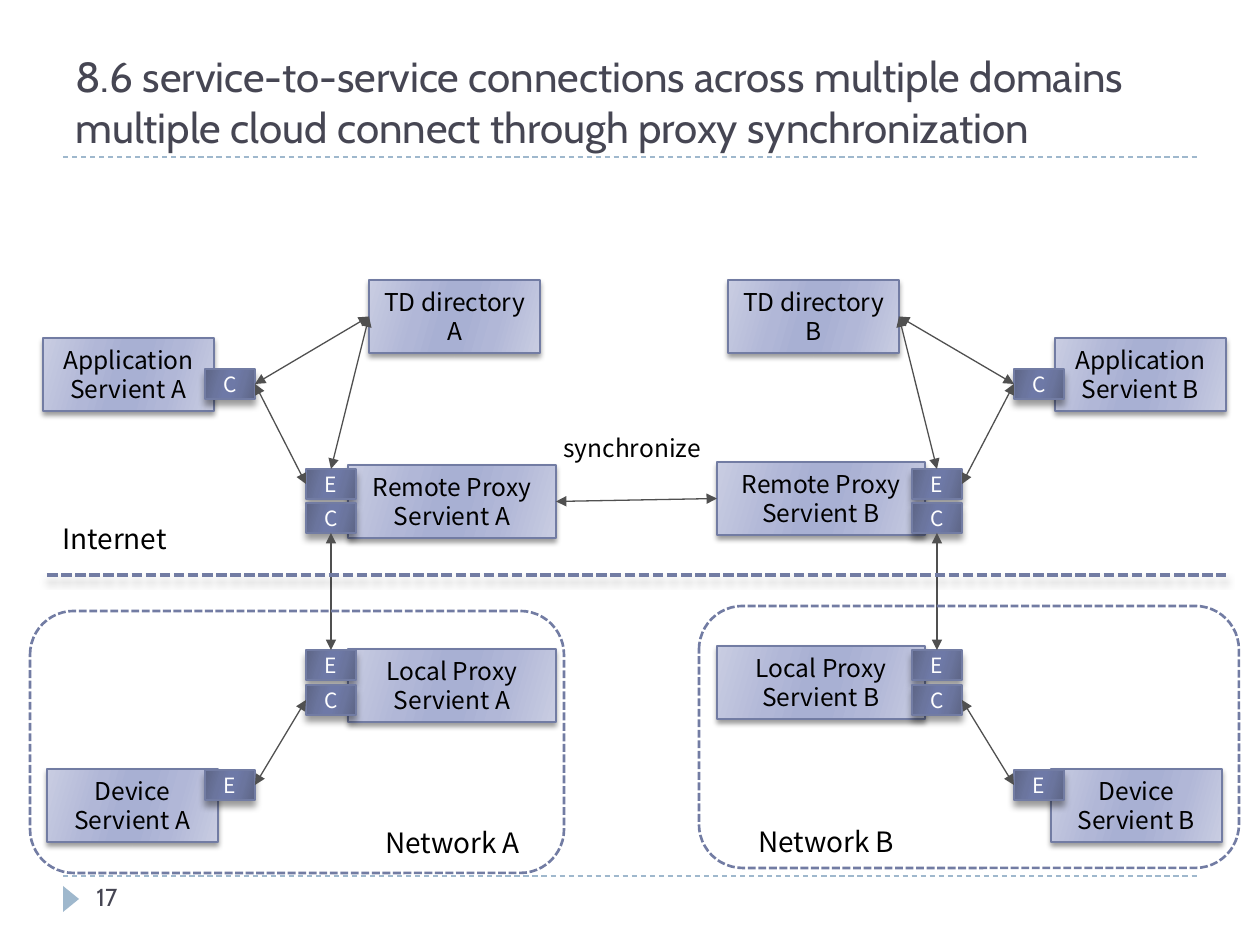
"""Build the slide on service connections across two domains."""
from lxml import etree
from pptx import Presentation
from pptx.dml.color import RGBColor
from pptx.enum.dml import MSO_LINE
from pptx.enum.shapes import MSO_CONNECTOR, MSO_SHAPE
from pptx.enum.text import MSO_ANCHOR, MSO_AUTO_SIZE, PP_ALIGN
from pptx.oxml.ns import qn
from pptx.util import Pt

RECT, ROUND, TRI = MSO_SHAPE.RECTANGLE, MSO_SHAPE.ROUNDED_RECTANGLE, MSO_SHAPE.ISOSCELES_TRIANGLE
STRAIGHT = MSO_CONNECTOR.STRAIGHT
DASH, DOTS = MSO_LINE.DASH, MSO_LINE.SQUARE_DOT
TOP, MIDDLE, LOW = MSO_ANCHOR.TOP, MSO_ANCHOR.MIDDLE, MSO_ANCHOR.BOTTOM
LEFT, CENTER = PP_ALIGN.LEFT, PP_ALIGN.CENTER
FIT = MSO_AUTO_SIZE.SHAPE_TO_FIT_TEXT
PX = 914400 / 126

THEME = {
    "edge": RGBColor.from_string("727CA3"),
    "rule": RGBColor.from_string("9FB8CD"),
    "link": RGBColor.from_string("505050"),
    "title": ("Cabin", 24, "464653"),
    "page": ("Cabin", 14, "464653"),
    "zone": ("Noto Sans CJK JP", 16, "000000"),
    "box": ("Noto Sans CJK JP", 14, "000000"),
    "tag": ("Noto Sans CJK JP", 12, "FFFFFF"),
    "box fill": ("C9CDE2", "B1B7D7", "A8B0D3"),
    "tag fill": ("5D6585", "6B759E", "6E79A7"),
    "box shade": (3, 2),
    "tag shade": (4, 3.4),
}


def shade(shape, size=None):
    effects = etree.SubElement(shape.element.spPr, qn("a:effectLst"))
    if size:
        blur, dist = size
        outer = etree.SubElement(effects, qn("a:outerShdw"), blurRad=str(Pt(blur)),
                                 dist=str(Pt(dist)), dir="5400000", rotWithShape="0")
        black = etree.SubElement(outer, qn("a:srgbClr"), val="000000")
        etree.SubElement(black, qn("a:alpha"), val="40000")


def write(shape, text, look, anchor=TOP, align=LEFT, wrap=True):
    frame = shape.text_frame
    frame.word_wrap = wrap
    frame.vertical_anchor = anchor
    para = frame.paragraphs[0]
    para.alignment = align
    for num, line in enumerate(text.split("\n")):
        if num:
            para.add_line_break()
        run = para.add_run()
        run.text = line
        run.font.name, size, color = THEME[look]
        run.font.size = Pt(size)
        run.font.color.rgb = RGBColor.from_string(color)


deck = Presentation()
deck.slide_width, deck.slide_height = round(1260 * PX), round(945 * PX)
slide = deck.slides.add_slide(deck.slide_layouts[6])
shapes = slide.shapes

area = [round(n * PX) for n in (63, 32, 1134, 126)]
write(shapes.add_textbox(*area),
      "8.6 service-to-service connections across multiple domains\n"
      "multiple cloud connect through proxy synchronization", "title", LOW)

sides = [
    ("A", 348, 47, 43, 369, 306, 205, 3, 3, 1),
    ("B", 717, 1051, 1055, 728, 912, 1014, 0, 1, 3),
]
remotes = []
links = []
for name, proxy, device, app, td, near, far, drop, outer, inner in sides:
    nodes = [
        ("remote", "box", proxy, 462 + drop, 208, 73, f"Remote Proxy Servient {name}"),
        ("local", "box", proxy, 646 + drop, 208, 73, f"Local Proxy Servient {name}"),
        ("device", "box", device, 769, 171, 73, f"Device Servient {name}"),
        ("app", "box", app, 338, 171, 73, f"Application Servient {name}"),
        ("td", "box", td, 280, 171, 73, f"TD directory {name}"),
        ("device E", "tag", far, 770, 50, 30, "E"),
        ("app C", "tag", far, 369, 50, 30, "C"),
        ("remote E", "tag", near, 469, 50, 30, "E"),
        ("remote C", "tag", near, 503, 50, 30, "C"),
        ("local E", "tag", near, 650, 50, 30, "E"),
        ("local C", "tag", near, 685, 50, 30, "C"),
    ]
    made = {}
    for key, kind, x, y, w, h, text in nodes:
        box = shapes.add_shape(RECT, *[round(n * PX) for n in (x, y, w, h)])
        box.fill.gradient()
        box.fill.gradient_angle = 344
        stops = box.element.spPr.find(".//" + qn("a:gsLst"))
        for stop in list(stops):
            stops.remove(stop)
        rim, mid, core = THEME[kind + " fill"]
        for pos, color in zip((0, 30, 45, 55, 73, 100), (rim, mid, core, core, mid, rim)):
            stop = etree.SubElement(stops, qn("a:gs"), pos=str(pos * 1000))
            etree.SubElement(stop, qn("a:srgbClr"), val=color)
        box.line.color.rgb = THEME["edge"]
        box.line.width = Pt(0.75)
        shade(box, THEME[kind + " shade"])
        write(box, text, kind, MIDDLE, CENTER, kind == "box")
        if w == 208:
            box.text_frame.margin_left = box.text_frame.margin_right = round(5 * PX)
        made[key] = box
    remotes.append(made["remote"])
    links += [
        (made["app C"], outer, made["remote E"], inner),
        (made["device E"], outer, made["local C"], inner),
        (made["remote C"], 2, made["local E"], 0),
        (made["app C"], outer, made["td"], inner),
        (made["remote E"], 0, made["td"], inner),
    ]
links.append((remotes[0], 3, remotes[1], 1))

for start, out, end, into in links:
    link = shapes.add_connector(STRAIGHT, 0, 0, 0, 0)
    link.begin_connect(start, out)
    link.end_connect(end, into)
    link.line.color.rgb = THEME["link"]
    link.line.width = Pt(0.75)
    ln = link.element.spPr.find(qn("a:ln"))
    for tip in ("a:headEnd", "a:tailEnd"):
        etree.SubElement(ln, qn(tip), type="triangle")
    shade(link)

for x, end, y, color, width, dash, size in [
    (63, 1197, 157, "rule", 0.75, DASH, None),
    (63, 1197, 876, "rule", 0.75, DASH, None),
    (47, 1226, 575, "edge", 2, DOTS, THEME["tag shade"]),
]:
    rule = shapes.add_connector(STRAIGHT, *[round(n * PX) for n in (x, y, end, y)])
    rule.line.color.rgb = THEME[color]
    rule.line.width = Pt(width)
    rule.line.dash_style = dash
    shade(rule, size)

for area in [(30, 611, 534, 262), (699, 606, 540, 262)]:
    zone = shapes.add_shape(ROUND, *[round(n * PX) for n in area])
    zone.shadow.inherit = False
    zone.fill.background()
    zone.line.color.rgb = THEME["edge"]
    zone.line.width = Pt(1.5)
    zone.line.dash_style = DOTS

for x, y, w, h, text, look in [
    (50, 515, 137, 47, "Internet", "zone"),
    (373, 819, 170, 47, "Network A", "zone"),
    (746, 818, 170, 47, "Network B", "zone"),
    (551, 427, 168, 43, "synchronize", "box"),
]:
    label = shapes.add_textbox(*[round(n * PX) for n in (x, y, w, h)])
    write(label, text, look, wrap=False)
    label.text_frame.auto_size = FIT

mark = shapes.add_shape(TRI, *[round(n * PX) for n in (58, 891, 26, 16)])
mark.rotation = 90
mark.shadow.inherit = False
mark.fill.solid()
mark.fill.fore_color.rgb = THEME["rule"]
mark.line.fill.background()
area = [round(n * PX) for n in (84, 876, 273, 50)]
write(shapes.add_textbox(*area), "17", "page")

deck.save("out.pptx")
